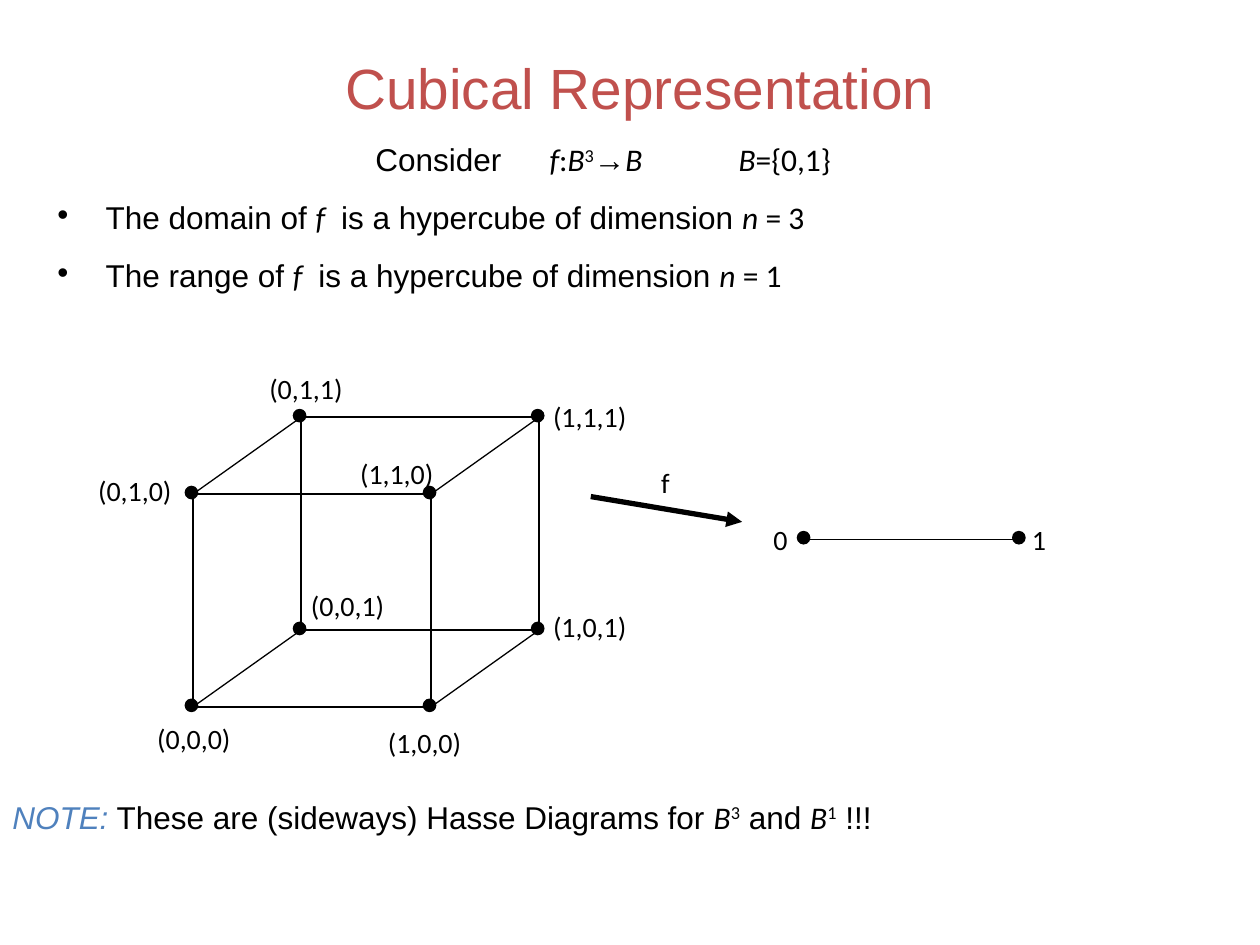
"""Build the slide on the cubical representation of Boolean functions."""
from lxml import etree
from pptx import Presentation
from pptx.dml.color import RGBColor
from pptx.enum.shapes import MSO_CONNECTOR, MSO_SHAPE
from pptx.enum.text import MSO_ANCHOR, MSO_AUTO_SIZE, PP_ALIGN
from pptx.oxml.ns import qn
from pptx.util import Cm, Pt

BLACK = RGBColor(0, 0, 0)
RED = RGBColor(0xC0, 0x50, 0x4D)
BLUE = RGBColor(0x4F, 0x81, 0xBD)
STRAIGHT = MSO_CONNECTOR.STRAIGHT
RECTANGLE = MSO_SHAPE.RECTANGLE
OVAL = MSO_SHAPE.OVAL
MIDDLE = MSO_ANCHOR.MIDDLE
FIT_SHAPE = MSO_AUTO_SIZE.SHAPE_TO_FIT_TEXT
LEFT = PP_ALIGN.LEFT
CENTER = PP_ALIGN.CENTER

ARIAL = {"name": "Arial"}
CALIBRI = {"name": "Calibri"}
MATH = {"name": "Calibri", "italic": True}
POWER = {"name": "Calibri", "raised": True}
NOTE = {"name": "Arial", "italic": True, "color": BLUE}

CUBE_LEFT, CUBE_BOTTOM = 3.89, 14.25
CUBE_WIDTH, CUBE_HEIGHT = 4.8, 4.29
DEPTH_X, DEPTH_Y = 2.18, 1.55
DOT_SIZE = 0.25
VERTEX_LABELS = {
    (0, 0, 0): (2.92, 14.43),
    (1, 0, 0): (7.57, 14.5),
    (1, 0, 1): (10.9, 12.17),
    (1, 1, 1): (10.9, 7.92),
    (0, 1, 1): (5.18, 7.37),
    (0, 1, 0): (1.73, 9.42),
    (0, 0, 1): (6.02, 11.73),
    (1, 1, 0): (7.01, 9.07),
}


def add_box(page, left, top, width, height):
    """Add an empty wrapping text box and return its text frame."""
    box = page.shapes.add_textbox(Cm(left), Cm(top), Cm(width), Cm(height))
    box.text_frame.word_wrap = True
    return box.text_frame


def add_span(para, text, name, italic=False, raised=False, color=BLACK):
    """Append one styled run to a paragraph."""
    span = para.add_run()
    span.text = text
    span.font.name = name
    span.font.italic = italic
    span.font.color.rgb = color
    if raised:
        span.font._element.set("baseline", "30000")


def fill_line(para, spans, before, align=LEFT, bullet=False):
    """Fill a body paragraph with runs, spacing and a hanging indent."""
    para.font.size = Pt(18)
    para.alignment = align
    para.line_spacing = 0.6
    para.space_before = Pt(before)
    properties = para._p.get_or_add_pPr()
    properties.set("marL", str(Cm(0.97)))
    properties.set("indent", str(Cm(-0.97)))
    if bullet:
        etree.SubElement(properties, qn("a:buFont")).set("typeface", "Arial")
        etree.SubElement(properties, qn("a:buChar")).set("char", "•")
        properties.append(properties.find(qn("a:defRPr")))
    for text, style in spans:
        add_span(para, text, **style)


def add_label(page, text, left, top, width):
    """Add a small unwrapped caption."""
    frame = add_box(page, left, top, width, 0.94)
    frame.word_wrap = False
    frame.auto_size = FIT_SHAPE
    para = frame.paragraphs[0]
    para.font.size = Pt(16)
    add_span(para, text, **CALIBRI)


def add_line(page, start, end, weight=0.75, arrow=False):
    """Draw a straight black line, with an arrowhead if asked."""
    x1, y1, x2, y2 = (Cm(value) for value in (*start, *end))
    line = page.shapes.add_connector(STRAIGHT, x1, y1, x2, y2)
    line.line.color.rgb = BLACK
    line.line.width = Pt(weight)
    if arrow:
        stroke = line.line._get_or_add_ln()
        etree.SubElement(stroke, qn("a:tailEnd")).set("type", "triangle")
    etree.SubElement(line._element.spPr, qn("a:effectLst"))


def add_outline(page, kind, left, top, width, height, weight, filled=False):
    """Add a black-lined shape, solid or empty."""
    shape = page.shapes.add_shape(kind, Cm(left), Cm(top), Cm(width), Cm(height))
    shape.shadow.inherit = False
    shape.line.color.rgb = BLACK
    shape.line.width = Pt(weight)
    if filled:
        shape.fill.solid()
        shape.fill.fore_color.rgb = BLACK
    else:
        shape.fill.background()


def add_dot(page, x, y):
    """Add a solid dot centred just up and left of a vertex."""
    corner = DOT_SIZE / 2 + 0.03
    add_outline(page, OVAL, x - corner, y - corner, DOT_SIZE, DOT_SIZE, 0.75, True)


def vertex(x, y, z):
    """Return the place of a cube vertex on the page."""
    return (CUBE_LEFT + x * CUBE_WIDTH + z * DEPTH_X,
            CUBE_BOTTOM - y * CUBE_HEIGHT - z * DEPTH_Y)


def add_cube(page):
    """Draw the cube with its vertices and their coordinates."""
    for z in (0, 1):
        add_outline(page, RECTANGLE, *vertex(0, 1, z), CUBE_WIDTH, CUBE_HEIGHT, 1)
    for x, y in ((0, 1), (1, 1), (0, 0), (1, 0)):
        add_line(page, vertex(x, y, 0), vertex(x, y, 1))
    for code, place in VERTEX_LABELS.items():
        add_dot(page, *vertex(*code))
        add_label(page, "({},{},{})".format(*code), *place, 2.03)


def add_range(page):
    """Draw the mapping arrow and the one-dimensional cube."""
    add_line(page, (11.91, 10.01), (14.96, 10.52), 3, arrow=True)
    add_label(page, "f", 13.08, 9.27, 0.71)
    add_line(page, (16.23, 10.87), (20.57, 10.87))
    for text, x, label_left in (("0", 16.23, 15.34), ("1", 20.57, 20.55)):
        add_dot(page, x, 10.87)
        add_label(page, text, label_left, 10.41, 0.79)


def add_title(page):
    """Add the slide heading."""
    frame = add_box(page, 2.46, 0.91, 20.88, 1.7)
    frame.vertical_anchor = MIDDLE
    para = frame.paragraphs[0]
    para.alignment = CENTER
    para.font.size = Pt(32.4)
    add_span(para, "Cubical Representation", "Arial", color=RED)


def add_body(page):
    """Add the definition of f and the two bullets."""
    frame = add_box(page, 0.91, 2.97, 22.5, 4.6)
    definition = [("Consider\t", ARIAL), ("f", MATH), (":", CALIBRI),
                  ("B", MATH), ("3", POWER), ("→", ARIAL),
                  ("B \t\tB", MATH), ("={0,1}", CALIBRI)]
    fill_line(frame.paragraphs[0], definition, 3.6, CENTER)
    for subject, size in (("domain", 3), ("range", 1)):
        spans = [(f"The {subject} of ", ARIAL), ("f ", MATH),
                 (" is a hypercube of dimension ", ARIAL),
                 ("n ", MATH), (f"= {size}", CALIBRI)]
        fill_line(frame.add_paragraph(), spans, 20, bullet=True)


def add_note(page):
    """Add the closing remark."""
    frame = add_box(page, 0, 16.23, 24.97, 1.98)
    spans = [("NOTE:", NOTE), (" These are (sideways) Hasse Diagrams for ", ARIAL),
             ("B", MATH), ("3", POWER), (" and ", ARIAL),
             ("B", MATH), ("1", POWER), (" !!!", ARIAL)]
    fill_line(frame.paragraphs[0], spans, 20)


def main():
    """Build and save the deck."""
    deck = Presentation()
    deck.slide_width, deck.slide_height = Cm(25.4), Cm(19.05)
    page = deck.slides.add_slide(deck.slide_layouts[6])
    add_title(page)
    add_body(page)
    add_cube(page)
    add_range(page)
    add_note(page)
    deck.save("out.pptx")


if __name__ == "__main__":
    main()
